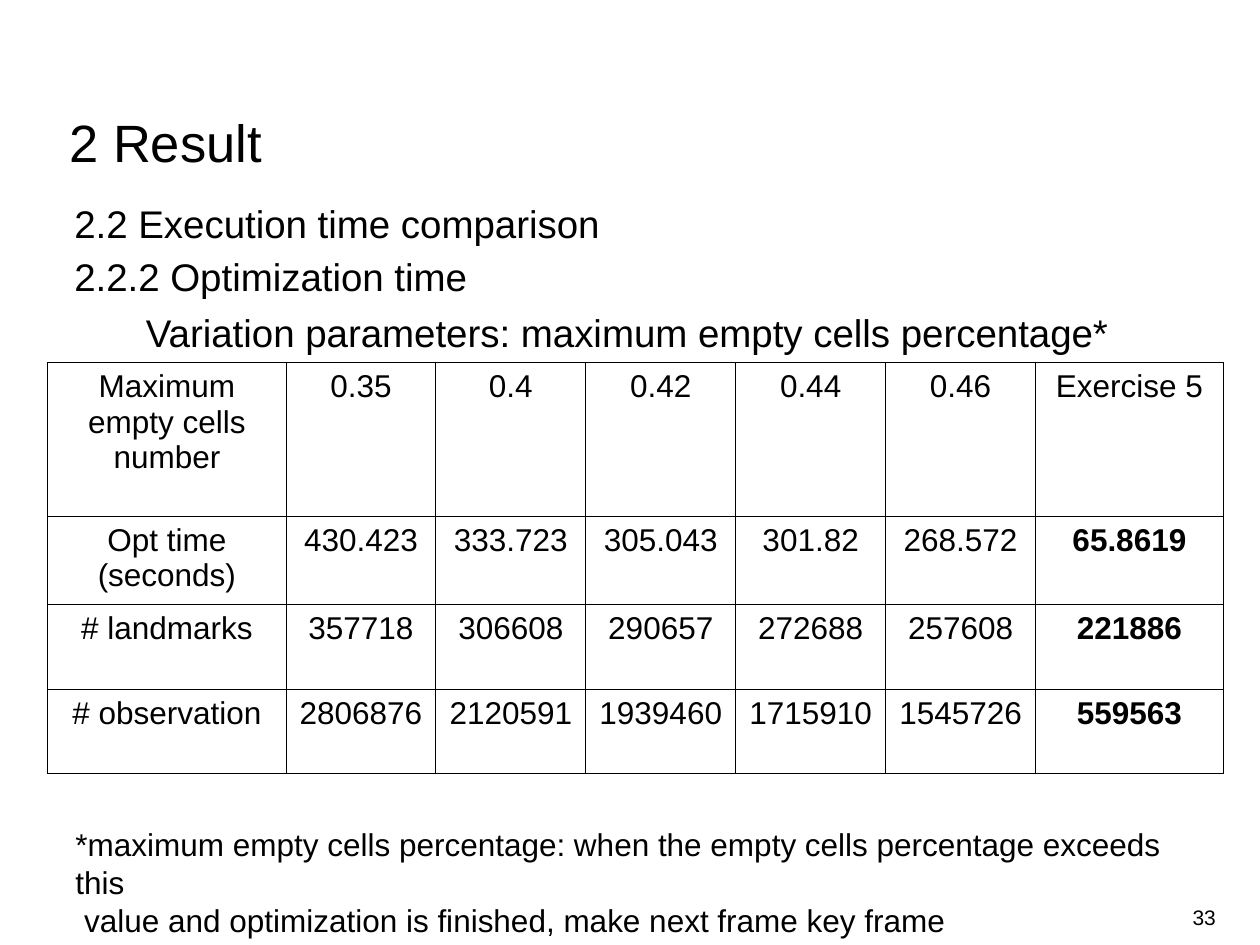
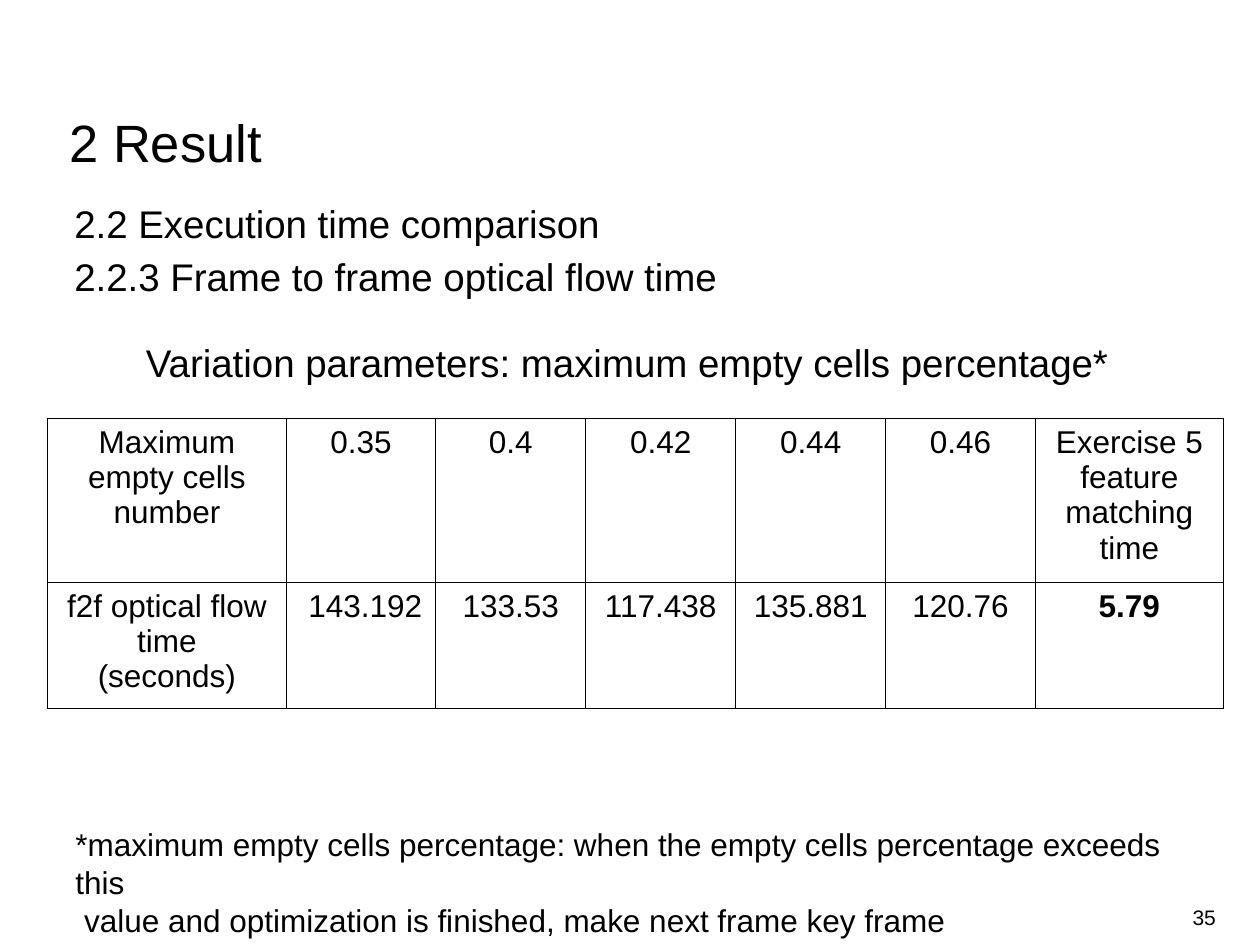
import pptx
import pptx.dml.color
import pptx.enum.text
import pptx.oxml.ns
import pptx.util
from lxml import etree

Inches = pptx.util.Inches
Pt = pptx.util.Pt
ALIGN = pptx.enum.text.PP_ALIGN
ANCHOR = pptx.enum.text.MSO_ANCHOR
AUTO = pptx.enum.text.MSO_AUTO_SIZE
qn = pptx.oxml.ns.qn

BLACK = pptx.dml.color.RGBColor(0x00, 0x00, 0x00)
WHITE = pptx.dml.color.RGBColor(0xFF, 0xFF, 0xFF)
FONT = {"name": "Arial", "bold": False}
BORDER_PT = 0.57

TITLE_BOX = (0.55, 0.93, 6.85, 0.45)
HEADINGS_BOX = (0.59, 1.54, 8.85, 4.87)
NUMBER_BOX = (7.41, 7.08, 2.24, 0.4)
FOOTNOTE_BOX = (0.5, 6.5, 9.27, 0.66)
CAPTION_LEFT, CAPTION_WIDTH, CAPTION_HEIGHT = 1.06, 7.86, 0.78
TABLE_LEFT = 0.38
COLUMNS = [1.89] + [1.19] * 5 + [1.49]
HEADER_HEIGHT, ROW_HEIGHT = 1.22, 0.67

SECTION = "2.2 Execution time comparison"
CAPTION = "Variation parameters: maximum empty cells percentage*"
FOOTNOTE = [
    "*maximum empty cells percentage: when the empty cells percentage exceeds this",
    " value and optimization is finished, make next frame key frame",
]
HEADER = ["Maximum empty cells number", "0.35", "0.4", "0.42", "0.44", "0.46"]

RESULTS = [
    {
        "heading": "2.2.2 Optimization time",
        "number": "33",
        "caption_top": 2.4,
        "table_top": 2.88,
        "rows": [
            HEADER + ["Exercise 5"],
            ["Opt time\n(seconds)", "430.423", "333.723", "305.043",
             "301.82", "268.572", "65.8619"],
            ["# landmarks", "357718", "306608", "290657",
             "272688", "257608", "221886"],
            ["# observation", "2806876", "2120591", "1939460",
             "1715910", "1545726", "559563"],
        ],
    },
    {
        "heading": "2.2.3 Frame to frame optical flow time",
        "number": "35",
        "caption_top": 2.64,
        "table_top": 3.32,
        "rows": [
            HEADER + ["Exercise 5\nfeature\nmatching\ntime"],
            ["f2f optical flow time\n(seconds)", " 143.192", "133.53",
             "117.438", "135.881", "120.76", "5.79"],
        ],
    },
]


def set_all(obj, values):
    for name, value in values.items():
        setattr(obj, name, value)


def write(tf, lines, size, paragraph=None, **font):
    for i, line in enumerate(lines):
        p = tf.paragraphs[0] if i == 0 else tf.add_paragraph()
        set_all(p, paragraph or {})
        r = p.add_run()
        r.text = line
        set_all(r.font, {**FONT, "size": Pt(size), **font})
        r.font.color.rgb = BLACK


def add_text(s, box, lines, size, margins=(0, 0), paragraph=None, **frame):
    tf = s.shapes.add_textbox(*map(Inches, box)).text_frame
    side, end = map(Inches, margins)
    set_all(tf, {"margin_left": side, "margin_right": side, "margin_top": end,
                 "margin_bottom": end, "word_wrap": True, **frame})
    write(tf, lines, size, paragraph)


def border_cell(cell):
    tcPr = cell._tc.get_or_add_tcPr()
    for side in ("a:lnL", "a:lnR", "a:lnT", "a:lnB"):
        ln = etree.SubElement(tcPr, qn(side), w=str(int(Pt(BORDER_PT))))
        fill = etree.SubElement(ln, qn("a:solidFill"))
        etree.SubElement(fill, qn("a:srgbClr"), val=str(BLACK))


def add_results_table(s, left, top, rows):
    heights = [HEADER_HEIGHT] + [ROW_HEIGHT] * (len(rows) - 1)
    size = (sum(COLUMNS), sum(heights))
    table = s.shapes.add_table(len(rows), len(COLUMNS),
                               *map(Inches, (left, top, *size))).table
    set_all(table, {"first_row": False, "horz_banding": False})
    for column, width in zip(table.columns, COLUMNS):
        column.width = Inches(width)
    for i, (row, height) in enumerate(zip(rows, heights)):
        table.rows[i].height = Inches(height)
        for j, text in enumerate(row):
            cell = table.cell(i, j)
            border_cell(cell)
            cell.fill.background()
            is_baseline = i > 0 and j == len(row) - 1
            write(cell.text_frame, text.split("\n"), 18,
                  {"alignment": ALIGN.CENTER}, bold=is_baseline)


def add_frame(s, heading, number):
    s.background.fill.solid()
    s.background.fill.fore_color.rgb = WHITE
    add_text(s, HEADINGS_BOX, [SECTION, heading], 22,
             paragraph={"line_spacing": 1.14})
    add_text(s, NUMBER_BOX, [number], 12, (0, 0.05),
             {"alignment": ALIGN.RIGHT}, vertical_anchor=ANCHOR.MIDDLE)
    add_text(s, TITLE_BOX, ["2 Result"], 30,
             paragraph={"line_spacing": Pt(32)})


def add_result_slide(prs, result):
    s = prs.slides.add_slide(prs.slide_layouts[6])
    add_frame(s, result["heading"], result["number"])
    add_results_table(s, TABLE_LEFT, result["table_top"], result["rows"])
    caption_box = (CAPTION_LEFT, result["caption_top"],
                   CAPTION_WIDTH, CAPTION_HEIGHT)
    add_text(s, caption_box, [CAPTION], 22, (0.1, 0.05),
             auto_size=AUTO.SHAPE_TO_FIT_TEXT)
    add_text(s, FOOTNOTE_BOX, FOOTNOTE, 18, (0.1, 0.05),
             word_wrap=False, auto_size=AUTO.SHAPE_TO_FIT_TEXT)


def main():
    prs = pptx.Presentation()
    set_all(prs, {"slide_width": Inches(10), "slide_height": Inches(7.5)})
    for result in RESULTS:
        add_result_slide(prs, result)
    prs.save("out.pptx")


if __name__ == "__main__":
    main()
